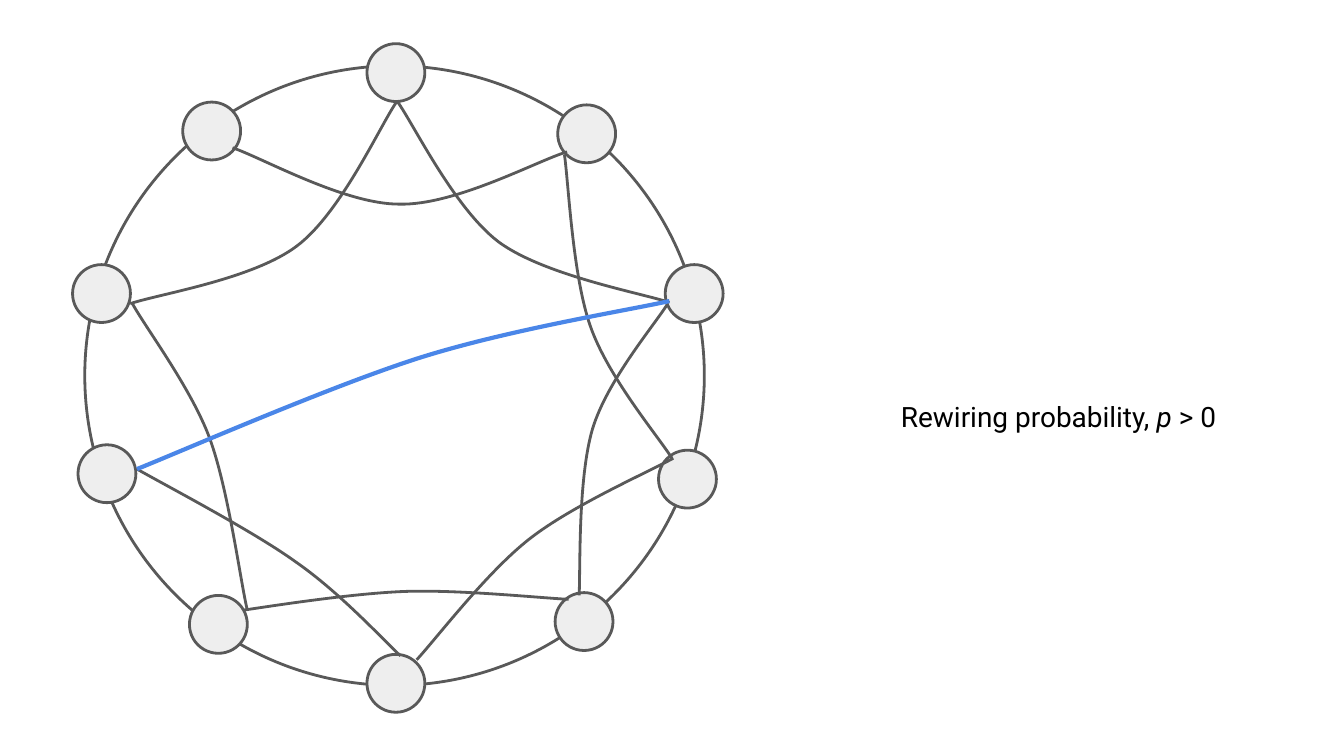
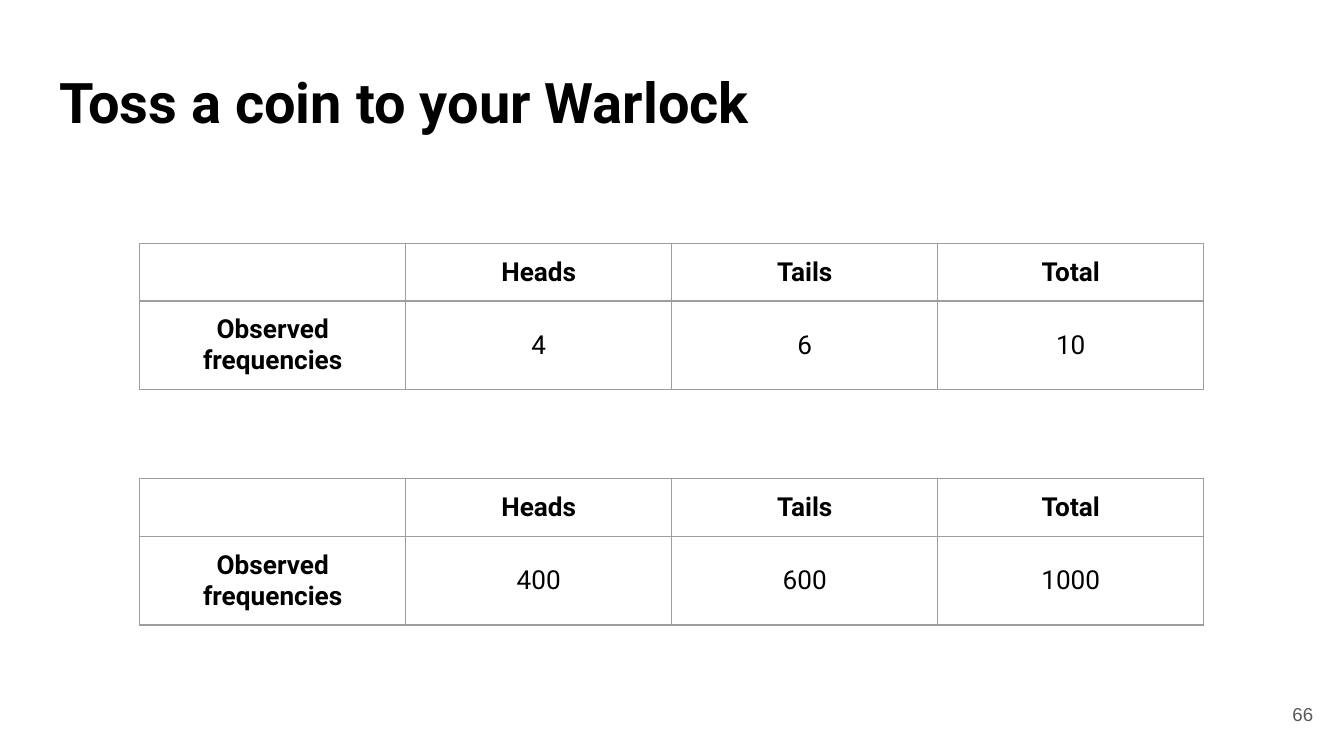
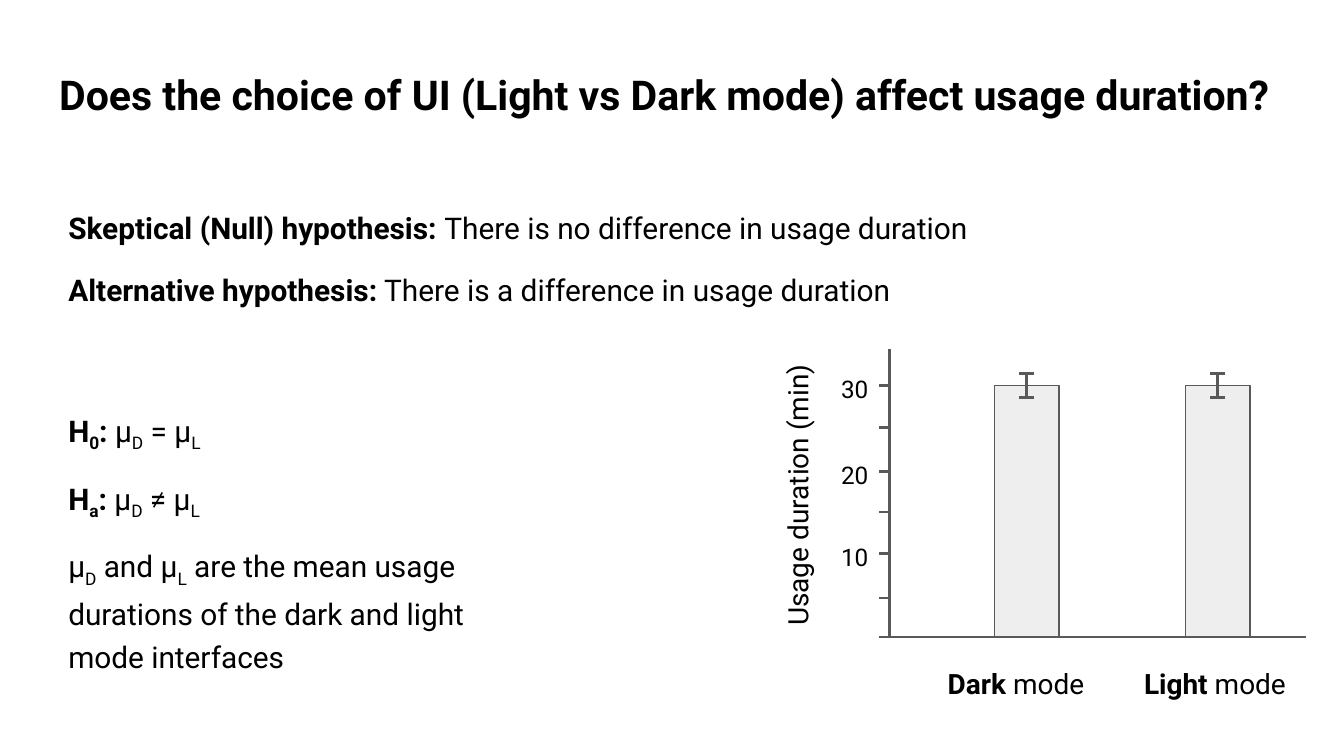
from lxml.etree import SubElement
from pptx import Presentation
from pptx.dml.color import RGBColor
from pptx.enum.shapes import MSO_CONNECTOR, MSO_SHAPE
from pptx.enum.text import MSO_ANCHOR, MSO_AUTO_SIZE, PP_ALIGN
from pptx.oxml.ns import qn
from pptx.util import Pt

COLORS = {
    "text": "000000",
    "line": "595959",
    "fill": "EEEEEE",
    "accent": "4A86E8",
    "grid": "9E9E9E",
}
PLAIN = {}
BOLD = {"bold": True}
ITALIC = {"italic": True}
INSET = 7.2
BODY = {"line_spacing": 1.2, "space_after": Pt(10)}
CENTERED = {**BODY, "alignment": PP_ALIGN.CENTER}

NODE_SIZE = 31
NODES = [
    (196.6, 23.4), (196.6, 350.6), (298.8, 56.2), (297.4, 317.5), (97.9, 54.7),
    (101.5, 319), (38.9, 141.8), (41.8, 238.3), (356.4, 141.8), (352.8, 241.2),
]
LINKS = [
    [(124.6, 79.2), (139.7, 84.2), (184.3, 109.4), (213.8, 109.4),
     (244.1, 110.2), (288.7, 85.7), (303.8, 81.4)],
    [(69.8, 162.7), (84.2, 157.7), (135.4, 149.8), (159.1, 131.8),
     (182.9, 113.8), (203.8, 67), (212.4, 54.7)],
    [(213.1, 54.7), (221.8, 67), (243.4, 111.6), (267.1, 129.6),
     (291.6, 147.6), (343.4, 157), (358.6, 162)],
    [(302.4, 82.8), (304.6, 97.9), (306.7, 146.9), (316.1, 174.2),
     (325.4, 201.6), (352.8, 234), (360, 245.5)],
    [(357.8, 162.7), (350.6, 174.2), (325.4, 203.8), (317.5, 229.7),
     (309.6, 256.3), (311, 303.8), (310.3, 319)],
    [(360.7, 245.5), (347.8, 252.7), (306.7, 270.7), (283.7, 288.7),
     (260.6, 306.7), (233.3, 342.7), (223.2, 353.5)],
    [(304.6, 321.1), (290.2, 320.4), (248.4, 316.1), (219.6, 316.8),
     (190.8, 317.5), (145.4, 324.7), (130.3, 326.9)],
    [(214.6, 351.4), (205.2, 342.7), (182.2, 317.5), (158.4, 301),
     (135.4, 284.4), (87.1, 259.2), (73.4, 251.3)],
    [(132.5, 326.9), (128.9, 311.8), (122.4, 262.1), (112.3, 234.7),
     (102.2, 207.4), (77, 174.2), (70.6, 162)],
]
REWIRED_LINK = [(73.4, 251.3), (98.6, 241.2), (177.8, 206.6), (225.4, 191.5),
                (273.6, 176.4), (336.2, 166.3), (358.6, 161.3)]


def points(*values):
    return [Pt(value) for value in values]


def color(name):
    return RGBColor.from_string(COLORS[name])


def apply(target, formats):
    for name, value in formats.items():
        setattr(target, name, value)


class Slides:
    def __init__(self):
        self.deck = Presentation()
        apply(self.deck, {"slide_width": Pt(720), "slide_height": Pt(405)})
        self.page = None

    def new_page(self, titled=True):
        layout = self.deck.slide_layouts[5 if titled else 6]
        self.page = self.deck.slides.add_slide(layout)

    def fill_text(self, frame, paras, size, layout, font="Roboto", ink="text"):
        for index, spans in enumerate(paras):
            para = frame.paragraphs[0] if index == 0 else frame.add_paragraph()
            apply(para, layout)
            if index:
                para.space_before = Pt(10)
            if index < len(paras) - 1:
                para.space_after = Pt(0)
            for words, formats in spans:
                span = para.add_run()
                span.text = words
                look = {"name": font, "size": Pt(size), "bold": False, **formats}
                lowered = look.pop("subscript", False)
                apply(span.font, look)
                span.font.color.rgb = color(ink)
                if lowered:
                    span.font._element.set("baseline", "-25000")

    def fit(self, frame, anchor, inset=INSET):
        apply(frame, {"word_wrap": True, "auto_size": MSO_AUTO_SIZE.NONE,
                      "vertical_anchor": anchor})
        for side in ("left", "top", "right", "bottom"):
            setattr(frame, f"margin_{side}", Pt(inset))

    def title(self, words, top, size, spacing=1.0):
        box = self.page.shapes.title
        apply(box, dict(zip(("left", "top", "width", "height"),
                            points(24.5, top, 671, 45.4))))
        self.fit(box.text_frame, MSO_ANCHOR.TOP)
        self.fill_text(box.text_frame, [[(words, BOLD)]], size,
                       {"alignment": PP_ALIGN.LEFT, "line_spacing": spacing})

    def text(self, area, paras, size, layout=BODY, anchor=MSO_ANCHOR.TOP,
             inset=INSET, rotation=0, **style):
        box = self.page.shapes.add_textbox(*points(*area))
        box.rotation = rotation
        self.fit(box.text_frame, anchor, inset)
        self.fill_text(box.text_frame, paras, size, layout, **style)

    def outline(self, shape, ink="line", width=1.5):
        shape.line.color.rgb = color(ink)
        shape.line.width = Pt(width)

    def shape(self, kind, area, width=1.5, filled=True):
        shape = self.page.shapes.add_shape(kind, *points(*area))
        shape.shadow.inherit = False
        if filled:
            shape.fill.solid()
            shape.fill.fore_color.rgb = color("fill")
        else:
            shape.fill.background()
        self.outline(shape, width=width)

    def line(self, *ends):
        line = self.page.shapes.add_connector(MSO_CONNECTOR.STRAIGHT, *points(*ends))
        self.outline(line)
        SubElement(line._element.spPr, qn("a:effectLst"))

    def curve(self, knots, ink="line", width=1.5):
        start, *others = [points(*knot) for knot in knots]
        builder = self.page.shapes.build_freeform(*start)
        builder.add_line_segments(others, close=False)
        shape = builder.convert_to_shape()
        shape.shadow.inherit = False
        shape.fill.background()
        self.outline(shape, ink, width)
        track = shape._element.find(".//" + qn("a:path"))
        steps = list(track)[1:]
        for first in range(0, len(steps), 3):
            bend = SubElement(track, qn("a:cubicBezTo"))
            for step in steps[first:first + 3]:
                bend.append(step[0])
                track.remove(step)

    def borders(self, cell):
        properties = cell._tc.get_or_add_tcPr()
        for position, side in enumerate(("lnL", "lnR", "lnT", "lnB")):
            edge = SubElement(properties, qn(f"a:{side}"), w=str(Pt(0.75)))
            solid = SubElement(edge, qn("a:solidFill"))
            SubElement(solid, qn("a:srgbClr"), val=COLORS["grid"])
            properties.insert(position, edge)

    def table(self, top, rows):
        frame = self.page.shapes.add_table(
            len(rows), len(rows[0]), *points(74.9, top, 570, 60.4))
        table = frame.table
        apply(table, {"first_row": False, "horz_banding": False})
        for row_index, row in enumerate(rows):
            table.rows[row_index].height = Pt(30.2)
            for column_index, words in enumerate(row):
                cell = table.cell(row_index, column_index)
                cell.fill.background()
                self.borders(cell)
                if not words:
                    continue
                cell.vertical_anchor = MSO_ANCHOR.MIDDLE
                for side in ("left", "top", "right", "bottom"):
                    setattr(cell, f"margin_{side}", Pt(INSET))
                heading = row_index == 0 or column_index == 0
                self.fill_text(cell.text_frame, [[(words, {"bold": heading})]], 14,
                               {"alignment": PP_ALIGN.CENTER})


def draw_network(slides):
    slides.new_page(titled=False)
    slides.shape(MSO_SHAPE.OVAL, (45.4, 35.3, 331.9, 331.9), filled=False)
    for left, top in NODES:
        slides.shape(MSO_SHAPE.OVAL, (left, top, NODE_SIZE, NODE_SIZE))
    for link in LINKS:
        slides.curve(link)
    caption = [("Rewiring probability, ", PLAIN), ("p ", ITALIC), ("> 0", PLAIN)]
    slides.text((434.2, 118.8, 265.7, 205.9), [caption], 15,
                {**CENTERED, "line_spacing": 1.15}, MSO_ANCHOR.MIDDLE, inset=0)
    slides.curve(REWIRED_LINK, "accent", 2.25)


def draw_coin_tables(slides):
    slides.new_page()
    slides.title("Toss a coin to your Warlock", 28.8, 30)
    for top, counts in ((130.3, ("4", "6", "10")), (256.3, ("400", "600", "1000"))):
        slides.table(top, [("", "Heads", "Tails", "Total"),
                           ("Observed frequencies", *counts)])
    slides.text((667.4, 367.2, 43.2, 31), [[("66", PLAIN)]], 10,
                {"alignment": PP_ALIGN.RIGHT}, MSO_ANCHOR.MIDDLE,
                font="Arial", ink="line")


def draw_bar_plot(slides):
    axis, base = 476.6, 341.3
    ticks = [206.6, 229, 252.7, 274.3, 296.6, 320.4, base]
    slides.line(axis, 187.2, axis, base)
    slides.line(axis, base, 699.8, base)
    for tick in ticks:
        slides.line(axis, tick, axis - 5.8, tick)
    for label, tick in zip(("30", "20", "10"), ticks[::2]):
        slides.text((431.3, tick - 14, 41, 28), [[(label, PLAIN)]], 13,
                    {**BODY, "alignment": PP_ALIGN.RIGHT}, MSO_ANCHOR.MIDDLE)
    bar_width, low, high = 34.6, 213.1, 200.2
    for mode, center, label_center in (("Dark ", 550.1, 544.3),
                                       ("Light ", 652.3, 650.9)):
        slides.shape(MSO_SHAPE.RECTANGLE,
                     (center - bar_width / 2, ticks[0], bar_width, base - ticks[0]),
                     width=0.75)
        slides.line(center, high, center, low)
        for cap in (high, low):
            slides.line(center + 4, cap, center - 4, cap)
        slides.text((label_center - 51, 346.3, 102, 32.4),
                    [[(mode, BOLD), ("mode", PLAIN)]], 15, CENTERED)
    slides.text((344.9, 249.1, 157, 32.4), [[("Usage duration (min)", PLAIN)]],
                15, CENTERED, rotation=270)


def draw_hypotheses(slides):
    slides.new_page()
    slides.title("Does the choice of UI (Light vs Dark mode) affect usage duration?",
                 35.3, 22, 0.8)
    slides.text((29.5, 101.5, 511.9, 67), [
        [("Skeptical (Null) hypothesis: ", BOLD),
         ("There is no difference in usage duration", PLAIN)],
        [("Alternative hypothesis:", BOLD),
         (" There is a difference in usage duration", PLAIN)],
    ], 16)
    draw_bar_plot(slides)
    lowered = {"subscript": True}

    def means(joint):
        return [("µ", PLAIN), ("D", lowered), (f" {joint} µ", PLAIN), ("L", lowered)]

    formulas = [
        [("H", BOLD), (name, {**BOLD, **lowered}), (": ", BOLD), *means(sign)]
        for name, sign in (("0", "="), ("a", "≠"))
    ]
    meaning = " are the mean usage durations of the dark and light mode interfaces"
    slides.text((29.5, 209.5, 240.5, 146.9),
                [*formulas, [*means("and"), (meaning, PLAIN)]], 16)


def main():
    slides = Slides()
    draw_network(slides)
    draw_coin_tables(slides)
    draw_hypotheses(slides)
    slides.deck.save("out.pptx")


if __name__ == "__main__":
    main()
